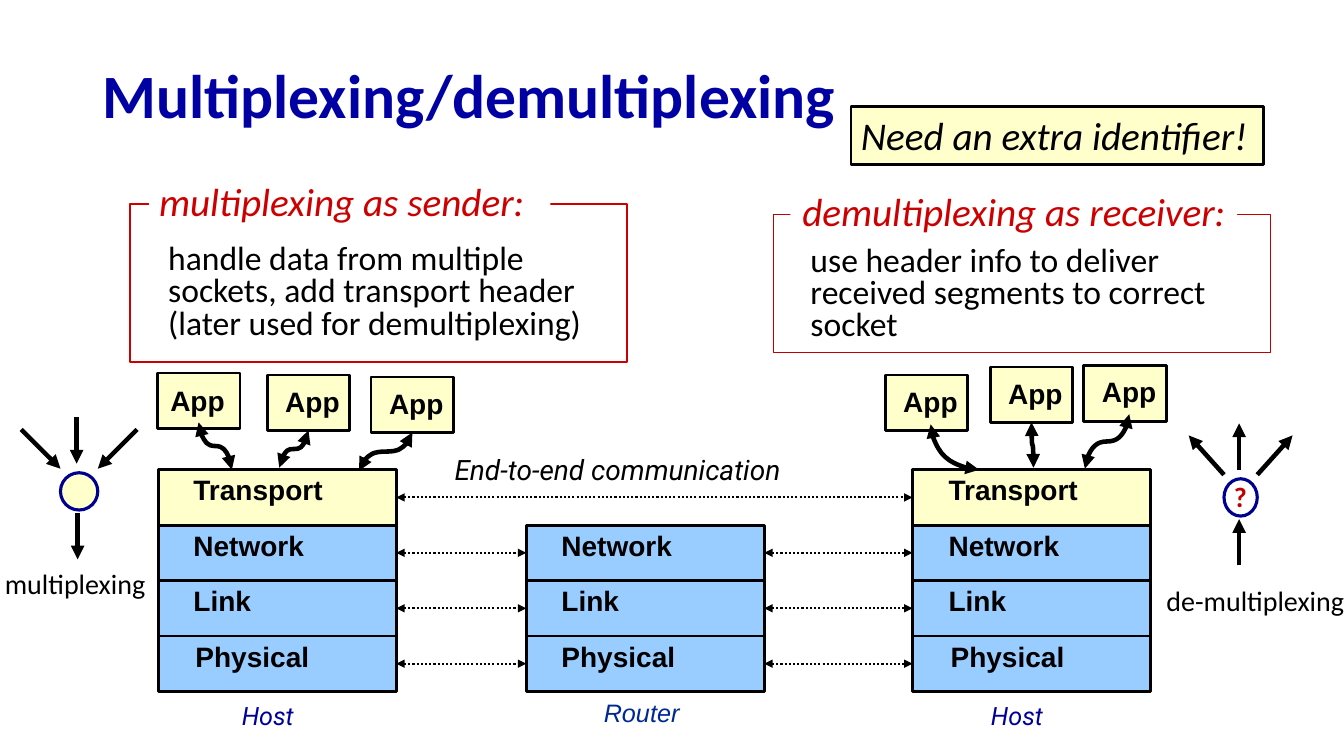
import lxml.etree
import pptx
import pptx.dml.color
import pptx.enum.dml
import pptx.enum.shapes
import pptx.enum.text
import pptx.oxml.ns
import pptx.util

Inches = pptx.util.Inches
Pt = pptx.util.Pt
qn = pptx.oxml.ns.qn
SHAPES = pptx.enum.shapes.MSO_SHAPE
CONNECTORS = pptx.enum.shapes.MSO_CONNECTOR
ANCHORS = pptx.enum.text.MSO_ANCHOR
FIT = pptx.enum.text.MSO_AUTO_SIZE
CENTER = pptx.enum.text.PP_ALIGN.CENTER
DOTTED = pptx.enum.dml.MSO_LINE.ROUND_DOT

COLORS = {
    "black": "000000", "white": "FFFFFF", "cream": "FFFFCC", "sky": "99CCFF",
    "title": "0000A3", "host": "000099", "router": "002895", "ring": "000090",
    "red": "CC0000", "dark red": "C00000",
}
FORMATS = {
    "title": {"size": Pt(44), "name": "Calibri", "bold": True},
    "layer": {"size": Pt(20), "name": "Arial", "bold": True},
    "host": {"size": Pt(18), "name": "Roboto", "italic": True},
    "router": {"size": Pt(18), "name": "Arial", "italic": True},
    "link": {"size": Pt(20), "name": "Roboto", "italic": True},
    "heading": {"size": Pt(28), "name": "Calibri", "italic": True},
    "body": {"size": Pt(24), "name": "Calibri"},
    "caption": {"size": Pt(20), "name": "Calibri"},
    "mark": {"size": Pt(20), "name": "Calibri", "bold": True},
}


class Diagram:
    """Draws styled elements on the current slide."""

    def __init__(self, slide, colors, formats):
        self.slide = slide
        self.colors = colors
        self.formats = formats

    def rgb(self, color):
        return pptx.dml.color.RGBColor.from_string(self.colors[color])

    def paint(self, element, fill, line):
        if fill:
            element.fill.solid()
            element.fill.fore_color.rgb = self.rgb(fill)
        else:
            element.fill.background()
        if line:
            color, width = line
            element.line.color.rgb = self.rgb(color)
            element.line.width = Pt(width)
        else:
            element.line.fill.background()

    def shape(self, at, fill=None, line=None, kind=SHAPES.RECTANGLE):
        element = self.slide.shapes.add_shape(kind, *map(Inches, at))
        element.shadow.inherit = False
        self.paint(element, fill, line)
        return element

    def text(self, at, lines, style, color="black", fill=None, line=None, wrap=False,
             fit=FIT.SHAPE_TO_FIT_TEXT, anchor=ANCHORS.TOP, spacing=None, align=None):
        box = self.slide.shapes.add_textbox(*map(Inches, at))
        self.paint(box, fill, line)
        frame = box.text_frame
        frame.text = lines
        frame_format = {"word_wrap": wrap, "auto_size": fit, "vertical_anchor": anchor}
        for name, value in frame_format.items():
            setattr(frame, name, value)
        for paragraph in frame.paragraphs:
            paragraph.line_spacing = spacing
            paragraph.alignment = align
            font = paragraph.runs[0].font
            font.color.rgb = self.rgb(color)
            for name, value in self.formats[style].items():
                setattr(font, name, value)

    def arrow(self, start, end, width=3.25, ends=("tailEnd",), kind=CONNECTORS.STRAIGHT):
        connector = self.slide.shapes.add_connector(kind, *map(Inches, (*start, *end)))
        connector.line.color.rgb = self.rgb("black")
        connector.line.width = Pt(width)
        outline = connector.line._get_or_add_ln()
        for name in ends:
            lxml.etree.SubElement(outline, qn("a:" + name), type="triangle")
        lxml.etree.SubElement(connector._element.spPr, qn("a:effectLst"))
        return connector

    def link(self, left_layer, right_layer):
        connector = self.arrow((0, 0), (1, 0), 1.5, ("headEnd", "tailEnd"))
        connector.line.dash_style = DOTTED
        connector.begin_connect(left_layer, 3)
        connector.end_connect(right_layer, 1)

    def curve(self, start, end, preset="curvedConnector3"):
        (x1, y1), (x2, y2) = start, end
        middle_x, middle_y = (x1 + x2) / 2, (y1 + y2) / 2
        rightward = x2 > x1
        half_run = (y2 - y1) / 2 * (-1 if rightward else 1)
        half_rise = abs(x2 - x1) / 2
        connector = self.arrow((middle_x - half_run, middle_y - half_rise),
                               (middle_x + half_run, middle_y + half_rise),
                               ends=("headEnd", "tailEnd"), kind=CONNECTORS.CURVE)
        properties = connector._element.spPr
        properties.find(qn("a:xfrm")).set("rot", str((270 if rightward else 90) * 60000))
        properties.find(qn("a:prstGeom")).set("prst", preset)

    def stack(self, left, layers, indent, physical_indent):
        boxes = {}
        for layer in layers:
            top, width, height, fill = LAYERS[layer]
            boxes[layer] = self.shape((left, top, 2.36, 0.55), fill, ("black", 2))
            offset = physical_indent if layer == "Physical" else indent
            self.text((left + offset, top - 0.02, width, height), layer, "layer")
        return boxes

    def app(self, left, top, label_offset, start, end, preset="curvedConnector3"):
        self.shape((left, top, 0.82, 0.55), "cream", ("black", 2))
        x, y = label_offset
        self.text((left + x, top + y, 0.75, 0.44), "App", "layer")
        self.curve(start, end, preset)


LAYERS = {
    "Transport": (4.66, 1.9, 0.57, "cream"),
    "Network": (5.21, 1.64, 0.57, "sky"),
    "Link": (5.76, 0.78, 0.44, "sky"),
    "Physical": (6.31, 1.7, 0.58, "sky"),
}
APPS = [
    (1.56, 3.7, (0.03, 0.06), (1.97, 4.19), (2.3, 4.66)),
    (2.65, 3.72, (0.08, 0.05), (3.06, 4.27), (2.77, 4.64)),
    (3.68, 3.74, (0.08, 0.05), (4.09, 4.29), (3.56, 4.67)),
    (8.78, 3.72, (0.08, 0.05), (9.23, 4.21), (9.71, 4.66), "curvedConnector2"),
    (9.82, 3.64, (0.08, 0.05), (10.23, 4.19), (10.25, 4.64)),
    (10.75, 3.63, (0.08, 0.04), (11.2, 4.11), (10.76, 4.65)),
]
MULTIPLEXING_ARROWS = [
    ((0.77, 5.09), (0.77, 5.55)), ((0.21, 4.26), (0.6, 4.65)),
    ((1.36, 4.26), (0.97, 4.65)), ((0.76, 4.14), (0.76, 4.6)),
]
DEMULTIPLEXING_ARROWS = [
    ((12.29, 5.61), (12.29, 5.15)), ((12.14, 4.71), (11.79, 4.32)),
    ((12.47, 4.71), (12.82, 4.32)), ((12.29, 4.66), (12.29, 4.2)),
]


def main():
    deck = pptx.Presentation()
    deck.slide_width, deck.slide_height = Inches(13.33), Inches(7.5)
    diagram = Diagram(deck.slides.add_slide(deck.slide_layouts[6]), COLORS, FORMATS)

    diagram.text((0.92, 0.49, 11.5, 0.98), "Multiplexing/demultiplexing", "title", "title",
                 wrap=True, fit=FIT.NONE, anchor=ANCHORS.MIDDLE, spacing=0.9)

    sender = diagram.stack(1.57, LAYERS, 0.25, 0.27)
    router = diagram.stack(5.22, list(LAYERS)[1:], 0.25, 0.25)
    receiver = diagram.stack(9.05, LAYERS, 0.26, 0.28)
    diagram.link(sender["Transport"], receiver["Transport"])
    for layer in router:
        diagram.link(sender[layer], router[layer])
        diagram.link(router[layer], receiver[layer])
    for host_left in (2.3, 9.73):
        diagram.text((host_left, 6.9, 0.9, 0.53), "Host", "host", "host", "white")
    diagram.text((5.89, 6.87, 1.21, 0.53), "Router", "router", "router")
    diagram.text((4.41, 4.44, 4.63, 0.58), "End-to-end communication", "link")
    for app in APPS:
        diagram.app(*app)

    diagram.shape((1.29, 2.02, 4.93, 1.57), line=("red", 1.5))
    diagram.text((1.57, 2.38, 5, 1.12), "handle data from multiple\n"
                 "sockets, add transport header (later used for demultiplexing)",
                 "body", wrap=True, spacing=0.8)
    diagram.shape((2.71, 2.01, 2.25, 0.38), "white")
    diagram.text((1.48, 1.71, 3.98, 0.59), "multiplexing as sender:", "heading", "red",
                 "white", wrap=True)
    diagram.shape((0.6, 4.69, 0.37, 0.37), "cream", ("ring", 2.25), SHAPES.OVAL)
    diagram.text((-0.05, 5.57, 1.61, 0.44), "multiplexing", "caption")

    diagram.shape((12.14, 4.75, 0.33, 0.37), "white", ("ring", 2.25), SHAPES.OVAL)
    diagram.text((12.14, 4.71, 0.39, 0.44), "?", "mark", "dark red", wrap=True)
    diagram.text((11.47, 5.74, 1.98, 0.44), "de-multiplexing", "caption")
    for start, end in MULTIPLEXING_ARROWS + DEMULTIPLEXING_ARROWS:
        diagram.arrow(start, end)
    diagram.shape((7.67, 2.13, 4.93, 1.37), "white", ("dark red", 1))
    diagram.text((7.94, 2.24, 5.02, 1.37), "use header info to deliver\n"
                 "received segments to correct\nsocket", "body",
                 fit=FIT.NONE, anchor=ANCHORS.MIDDLE, spacing=0.8)
    diagram.shape((8.96, 2.05, 2.17, 0.36), "white")
    diagram.text((7.84, 1.81, 4.43, 0.57), "demultiplexing as receiver:", "heading", "red",
                 "white", align=CENTER)
    diagram.text((8.44, 1.06, 4.09, 0.57), "Need an extra identifier!", "heading",
                 fill="cream", line=("black", 2))
    deck.save("out.pptx")


if __name__ == "__main__":
    main()
